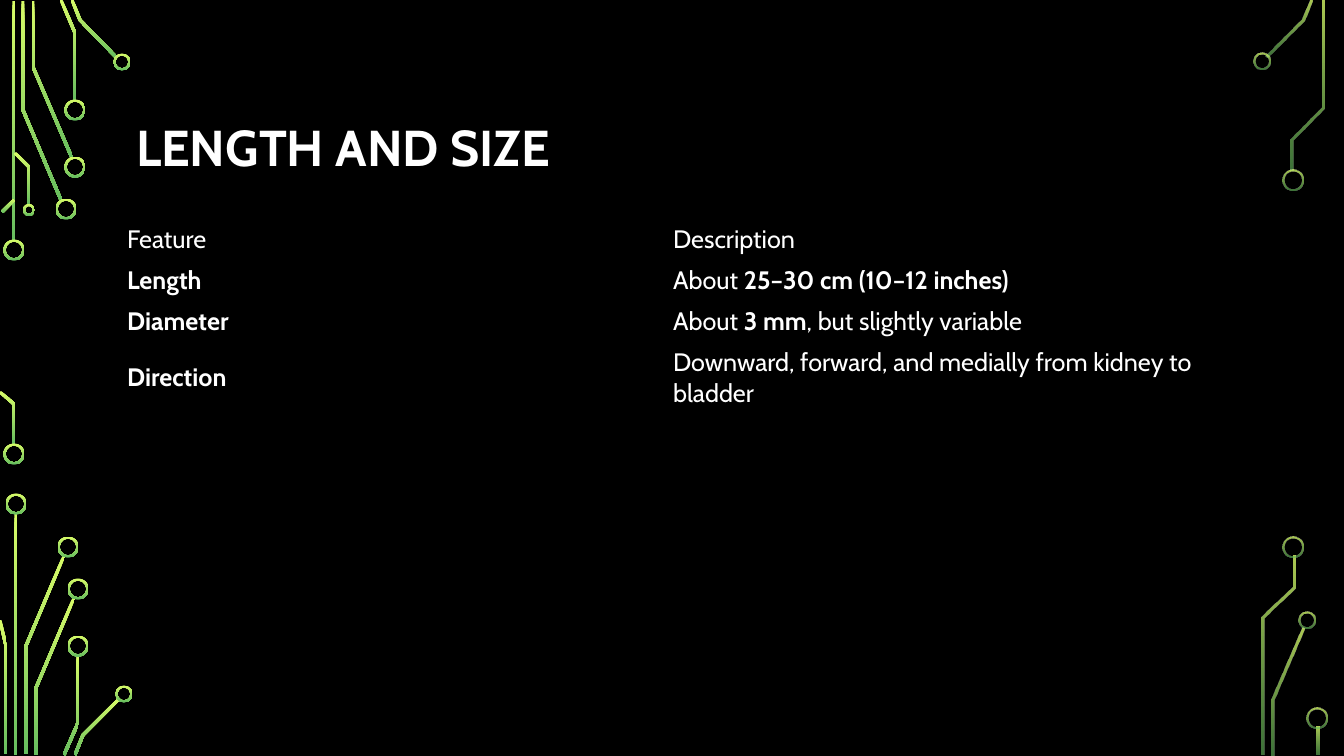
from dataclasses import dataclass
from math import hypot

from pptx import Presentation
from pptx.dml.color import RGBColor
from pptx.enum.shapes import MSO_SHAPE
from pptx.enum.text import MSO_ANCHOR, MSO_AUTO_SIZE, PP_ALIGN
from pptx.oxml.ns import qn
from pptx.util import Pt

DONUT = MSO_SHAPE.DONUT
MIDDLE = MSO_ANCHOR.MIDDLE
NO_FIT = MSO_AUTO_SIZE.NONE
LEFT = PP_ALIGN.LEFT

PX = 914400 / 100.8
SLIDE_W, SLIDE_H = 1344, 756
NO_GRID_STYLE = "{2D5ABB26-0587-4C30-8999-92F81FD0307C}"


@dataclass(frozen=True)
class Theme:
    font: str = "Cabin"
    back: RGBColor = RGBColor(0, 0, 0)
    text: RGBColor = RGBColor(255, 255, 255)
    lime: RGBColor = RGBColor(0xD8, 0xFC, 0x68)
    green: RGBColor = RGBColor(0x66, 0xBD, 0x5F)
    title: int = 36
    body: int = 18


THEME = Theme()
SOLID, FADED = (100, 100), (80, 60)
TRACE_W = 3
RING_W = 2

# Circuit regions: box, opacity of the gradient's ends,
# traces as centre lines, rings as (centre x, centre y, diameter)
CIRCUITS = [
    ((0, 0, 132, 466), SOLID, [
        [(14, 1), (14, 242)],
        [(23, 1), (23, 110), (61, 200)],
        [(33, 1), (33, 67), (72, 158)],
        [(61, 0), (75, 33), (75, 101)],
        [(72, 0), (80, 20), (116, 57)],
        [(14, 200), (2, 212)],
        [(15, 153), (29, 167), (29, 205)],
        [(0, 392), (14, 404), (14, 444)],
    ], [(14, 250, 21), (14, 454, 21), (66, 209, 21), (75, 167, 21),
        (75, 110, 21), (122, 62, 17), (29, 210, 12)]),
    ((0, 490, 134, 266), SOLID, [
        [(16, 24), (16, 265)],
        [(26, 264), (26, 156), (64, 66)],
        [(0, 130), (6, 156), (6, 264)],
        [(36, 265), (36, 198), (74, 108)],
        [(64, 265), (78, 233), (78, 165)],
        [(75, 265), (83, 245), (119, 209)],
    ], [(16, 14, 21), (68, 57, 21), (78, 99, 21), (78, 156, 21),
        (124, 204, 17)]),
    ((1250, 0, 94, 192), FADED, [
        [(61, 0), (53, 20), (17, 56)],
        [(73, 1), (73, 108), (42, 140), (42, 171)],
    ], [(12, 61, 17), (43, 180, 21)]),
    ((1250, 530, 94, 226), FADED, [
        [(23, 225), (23, 169), (53, 98)],
        [(13, 225), (13, 88), (44, 58), (44, 26)],
        [(68, 197), (68, 225)],
    ], [(57, 90, 17), (43, 17, 21), (67, 188, 21)]),
]

# Table cells are lists of (text, bold) runs
ROWS = [
    ([("Feature", False)], [("Description", False)]),
    ([("Length", True)],
     [("About ", False), ("25–30 cm (10–12 inches)", True)]),
    ([("Diameter", True)],
     [("About ", False), ("3 mm", True), (", but slightly variable", False)]),
    ([("Direction", True)],
     [("Downward, forward, and medially from kidney to bladder", False)]),
]
ROW_HEIGHTS = [41, 41, 41, 72]


def px(*values):
    return [round(v * PX) for v in values]


def add_run(p, text, size, bold):
    r = p.add_run()
    r.text = text
    formats = {"name": THEME.font, "size": Pt(size), "bold": bold}
    for key, value in formats.items():
        setattr(r.font, key, value)
    r.font.color.rgb = THEME.text


def paint(sp, opacity):
    """Fill with the lime to green gradient, running downwards."""
    sp.shadow.inherit = False
    sp.line.fill.background()
    sp.fill.gradient()
    sp.fill.gradient_angle = 270
    for stop, color in zip(sp.fill.gradient_stops, (THEME.lime, THEME.green)):
        stop.color.rgb = color
    for clr, percent in zip(sp._element.spPr.iter(qn("a:srgbClr")), opacity):
        if percent < 100:
            alpha = clr.makeelement(qn("a:alpha"), {"val": str(percent * 1000)})
            clr.append(alpha)


def trace_outline(points):
    """Widen a centre line to a closed band with mitred corners."""
    normals = []
    for (x0, y0), (x1, y1) in zip(points, points[1:]):
        length = hypot(x1 - x0, y1 - y0)
        normals.append(((y0 - y1) / length, (x1 - x0) / length))
    before, after = normals[:1] + normals, normals + normals[-1:]
    one_side, other_side = [], []
    for (x, y), (ax, ay), (bx, by) in zip(points, before, after):
        k = TRACE_W / 2 / (1 + ax * bx + ay * by)
        dx, dy = (ax + bx) * k, (ay + by) * k
        one_side.append((x + dx, y + dy))
        other_side.append((x - dx, y - dy))
    return one_side + other_side[::-1]


def add_circuit(slide, box, opacity, traces, rings):
    left, top = box[:2]
    for points in traces:
        outline = [px(left + x, top + y) for x, y in trace_outline(points)]
        builder = slide.shapes.build_freeform(*outline[0])
        builder.add_line_segments(outline[1:], close=True)
        paint(builder.convert_to_shape(), opacity)
    for x, y, d in rings:
        sp = slide.shapes.add_shape(
            DONUT, *px(left + x - d / 2, top + y - d / 2, d, d))
        sp.adjustments[0] = RING_W / d
        paint(sp, opacity)


def add_title(slide, box, text):
    sp = slide.shapes.title
    sp.left, sp.top, sp.width, sp.height = px(*box)
    tf = sp.text_frame
    formats = {"vertical_anchor": MIDDLE, "word_wrap": True,
               "auto_size": NO_FIT}
    for key, value in formats.items():
        setattr(tf, key, value)
    p = tf.paragraphs[0]
    p.alignment = LEFT
    p.line_spacing = 0.9
    add_run(p, text, THEME.title, True)


def add_feature_table(slide, box, rows):
    table = slide.shapes.add_table(len(rows), len(rows[0]), *px(*box)).table
    table.first_row = table.horz_banding = False
    table._tbl.tblPr.find(qn("a:tableStyleId")).text = NO_GRID_STYLE
    for row, height, contents in zip(table.rows, ROW_HEIGHTS, rows):
        row.height = px(height)[0]
        for cell, runs in zip(row.cells, contents):
            cell.fill.background()
            cell.vertical_anchor = MIDDLE
            for text, bold in runs:
                add_run(cell.text_frame.paragraphs[0], text, THEME.body, bold)


def main():
    prs = Presentation()
    prs.slide_width, prs.slide_height = px(SLIDE_W, SLIDE_H)
    slide = prs.slides.add_slide(prs.slide_layouts[5])
    slide.background.fill.solid()
    slide.background.fill.fore_color.rgb = THEME.back

    for circuit in CIRCUITS:
        add_circuit(slide, *circuit)
    add_title(slide, (126, 69, 1092, 163), "LENGTH AND SIZE")
    add_feature_table(slide, (117, 219, 1092, sum(ROW_HEIGHTS)), ROWS)
    prs.save("out.pptx")


if __name__ == "__main__":
    main()
